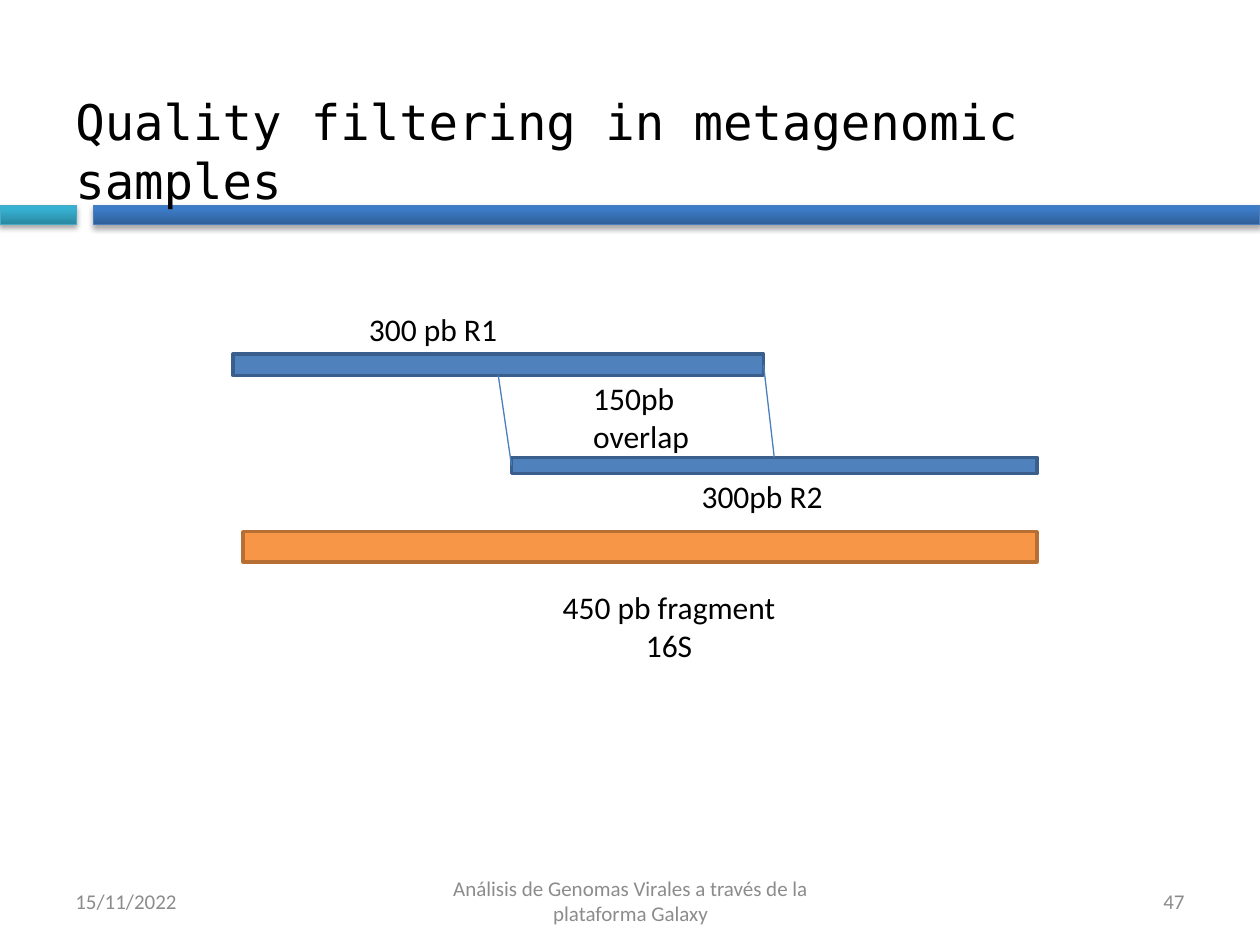
from lxml.etree import SubElement
from pptx import Presentation
from pptx.dml.color import RGBColor
from pptx.enum.shapes import MSO_CONNECTOR, MSO_SHAPE
from pptx.enum.text import MSO_ANCHOR as ANCHOR, PP_ALIGN as ALIGN
from pptx.oxml.ns import qn
from pptx.util import Inches, Pt

BLACK = RGBColor(0x00, 0x00, 0x00)
GRAY = RGBColor(0x8C, 0x8C, 0x8C)
BLUE = RGBColor(0x4F, 0x81, 0xBD)
NAVY = RGBColor(0x3A, 0x5F, 0x8C)
ORANGE = RGBColor(0xF7, 0x96, 0x46)
BROWN = RGBColor(0xB7, 0x6F, 0x34)
EDGE = RGBColor(0x4B, 0x7E, 0xBC)
TEAL_EDGE = RGBColor(0x46, 0xAA, 0xC5)
BLUE_FADE = RGBColor(0x2F, 0x5F, 0x99), RGBColor(0x3D, 0x7C, 0xC7)
TEAL_FADE = RGBColor(0x2A, 0x88, 0xA2), RGBColor(0x37, 0xB1, 0xD2)

BANDS = [  # place, fade from bottom to top, edge
    ((0.74, 1.63, 9.26, 0.15), BLUE_FADE, EDGE),
    ((0, 1.63, 0.61, 0.15), TEAL_FADE, TEAL_EDGE),
]
TITLE = "Quality filtering in metagenomic samples"
BARS = {
    "fragment": ((1.93, 4.22, 6.3, 0.24), ORANGE, BROWN),
    "R1": ((1.85, 2.81, 4.21, 0.17), BLUE, NAVY),
    "R2": ((4.06, 3.63, 4.17, 0.13), BLUE, NAVY),
}
LABELS = [
    ("450 pb fragment\v16S", (4.33, 4.62, 1.96, 0.71), ALIGN.CENTER),
    ("300 pb R1", (2.83, 2.41, 1.23, 0.4), ALIGN.LEFT),
    ("150pb overlap", (4.61, 2.96, 1.5, 0.4), ALIGN.LEFT),
    ("300pb R2", (5.47, 3.74, 1.96, 0.4), ALIGN.LEFT),
]
FOOTER = [
    ("Análisis de Genomas Virales a través de la plataforma Galaxy",
     3.42, 3.17, ALIGN.CENTER),
    ("47", 7.17, 2.33, ALIGN.RIGHT),
    ("15/11/2022", 0.5, 2.33, ALIGN.LEFT),
]
BOTTOM, RIGHT, TOP, LEFT = 2, 3, 0, 1
OVERLAP = [(BOTTOM, LEFT), (RIGHT, TOP)]  # side of R1, side of R2


def add_bar(slide, place, edge, width):
    bar = slide.shapes.add_shape(MSO_SHAPE.RECTANGLE, *map(Inches, place))
    bar.shadow.inherit = False
    bar.line.color.rgb = edge
    bar.line.width = Pt(width)
    return bar


def add_band(slide, place, fade, edge):
    """Add a header strip with a vertical fade and a soft shadow below."""
    band = add_bar(slide, place, edge, 0.75)
    band.fill.gradient()
    band.fill.gradient_angle = 90
    for stop, color, spot in zip(band.fill.gradient_stops, fade, (0, 0.8)):
        stop.color.rgb = color
        stop.position = spot
    effects = band.element.spPr.find(qn("a:effectLst"))
    shadow = SubElement(effects, qn("a:outerShdw"), blurRad=str(Pt(3.1)),
                        dist=str(Pt(1.8)), dir="5400000", rotWithShape="0")
    tint = SubElement(shadow, qn("a:srgbClr"), val="000000")
    SubElement(tint, qn("a:alpha"), val="35000")


def add_text(slide, text, place, size, align=ALIGN.LEFT, color=BLACK,
             font="Calibri", anchor=ANCHOR.TOP):
    frame = slide.shapes.add_textbox(*map(Inches, place)).text_frame
    frame.word_wrap = True
    frame.vertical_anchor = anchor
    para = frame.paragraphs[0]
    para.alignment = align
    for i, part in enumerate(text.split("\v")):
        if i:
            para.add_line_break()
        run = para.add_run()
        run.text = part
        run.font.name = font
        run.font.size = Pt(size)
        run.font.color.rgb = color


def add_link(slide, start, start_side, end, end_side):
    link = slide.shapes.add_connector(MSO_CONNECTOR.STRAIGHT, 0, 0, 0, 0)
    link.begin_connect(start, start_side)
    link.end_connect(end, end_side)
    link.line.color.rgb = EDGE
    link.line.width = Pt(0.75)
    SubElement(link.element.spPr, qn("a:effectLst"))


def main():
    prs = Presentation()
    prs.slide_width, prs.slide_height = Inches(10), Inches(7.5)
    slide = prs.slides.add_slide(prs.slide_layouts[6])

    for place, fade, edge in BANDS:
        add_band(slide, place, fade, edge)
    add_text(slide, TITLE, (0.5, 0.76, 9, 0.87), 28,
             font="DejaVu Sans Mono", anchor=ANCHOR.MIDDLE)

    bars = {}
    for name, (place, fill, edge) in BARS.items():
        bars[name] = add_bar(slide, place, edge, 2)
        bars[name].fill.solid()
        bars[name].fill.fore_color.rgb = fill
    for text, place, align in LABELS:
        add_text(slide, text, place, 18, align)
    for side1, side2 in OVERLAP:
        add_link(slide, bars["R1"], side1, bars["R2"], side2)

    for text, left, width, align in FOOTER:
        add_text(slide, text, (left, 6.95, width, 0.4), 12, align, GRAY,
                 anchor=ANCHOR.MIDDLE)
    prs.save("out.pptx")


if __name__ == "__main__":
    main()
